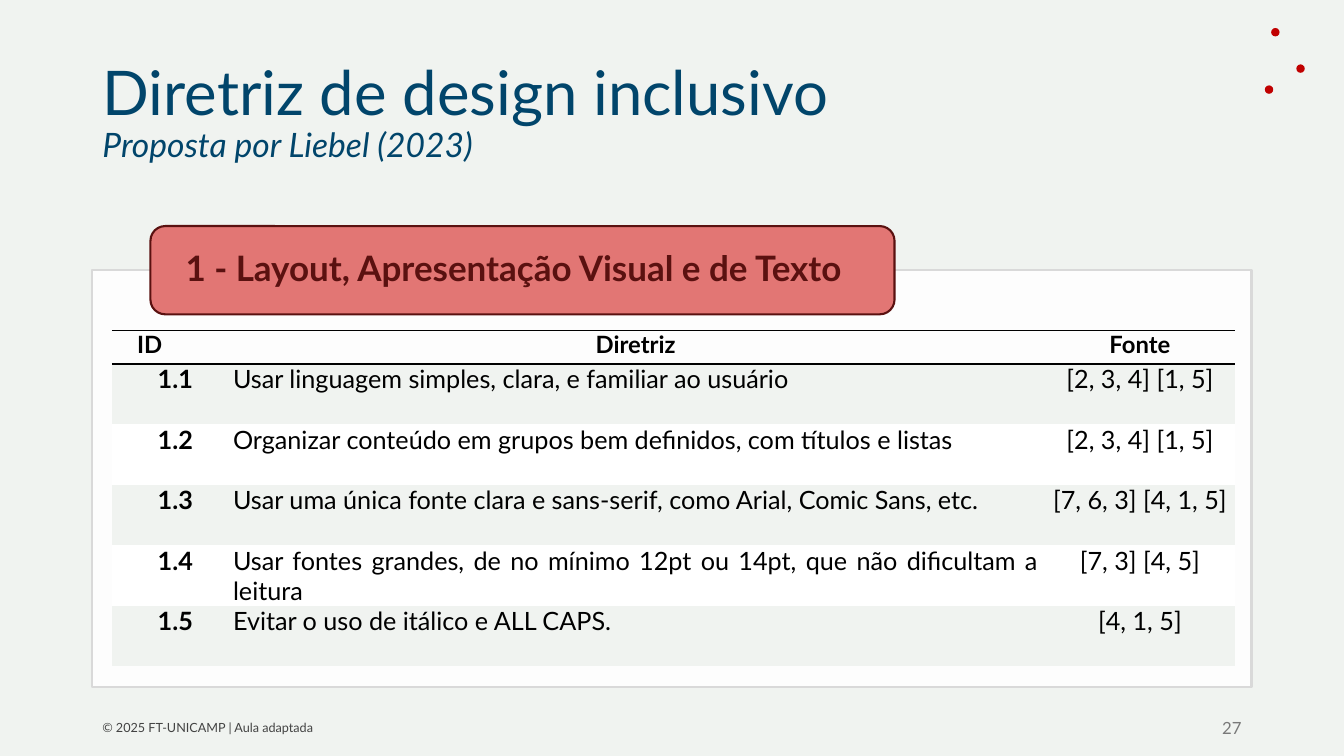
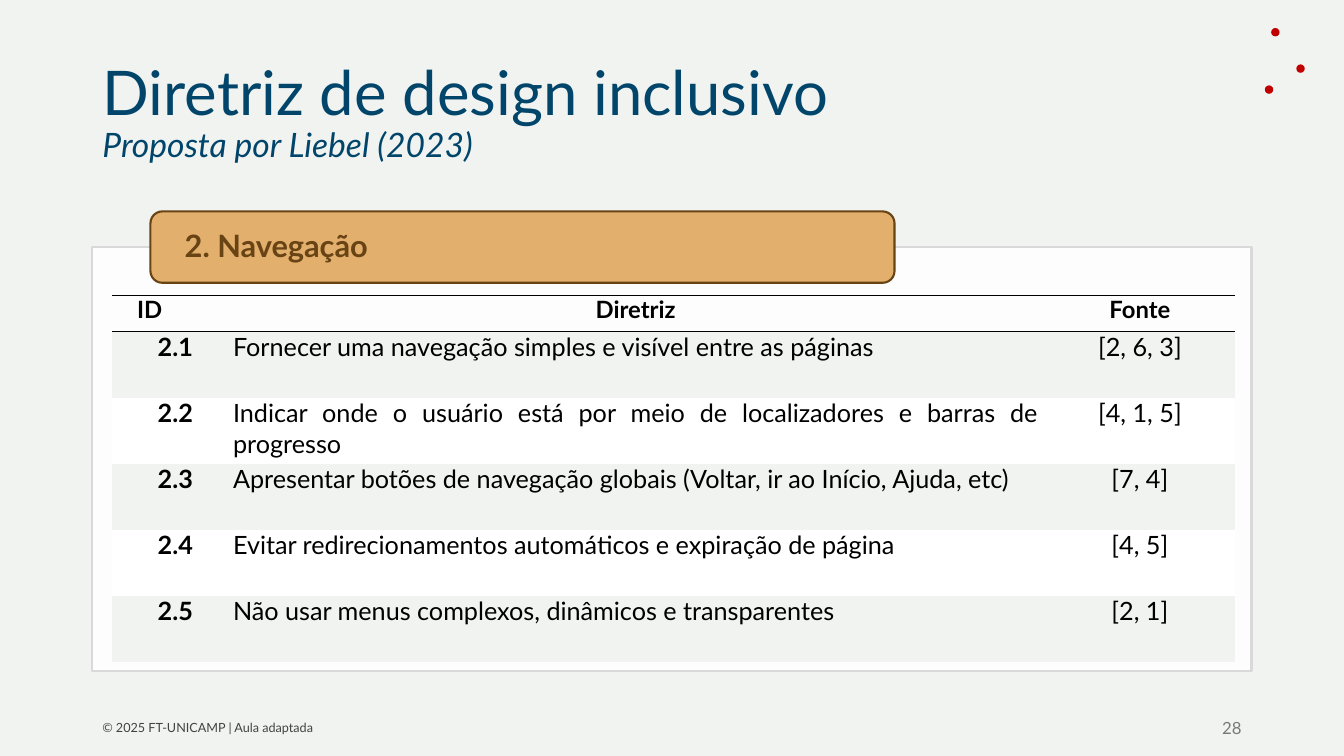
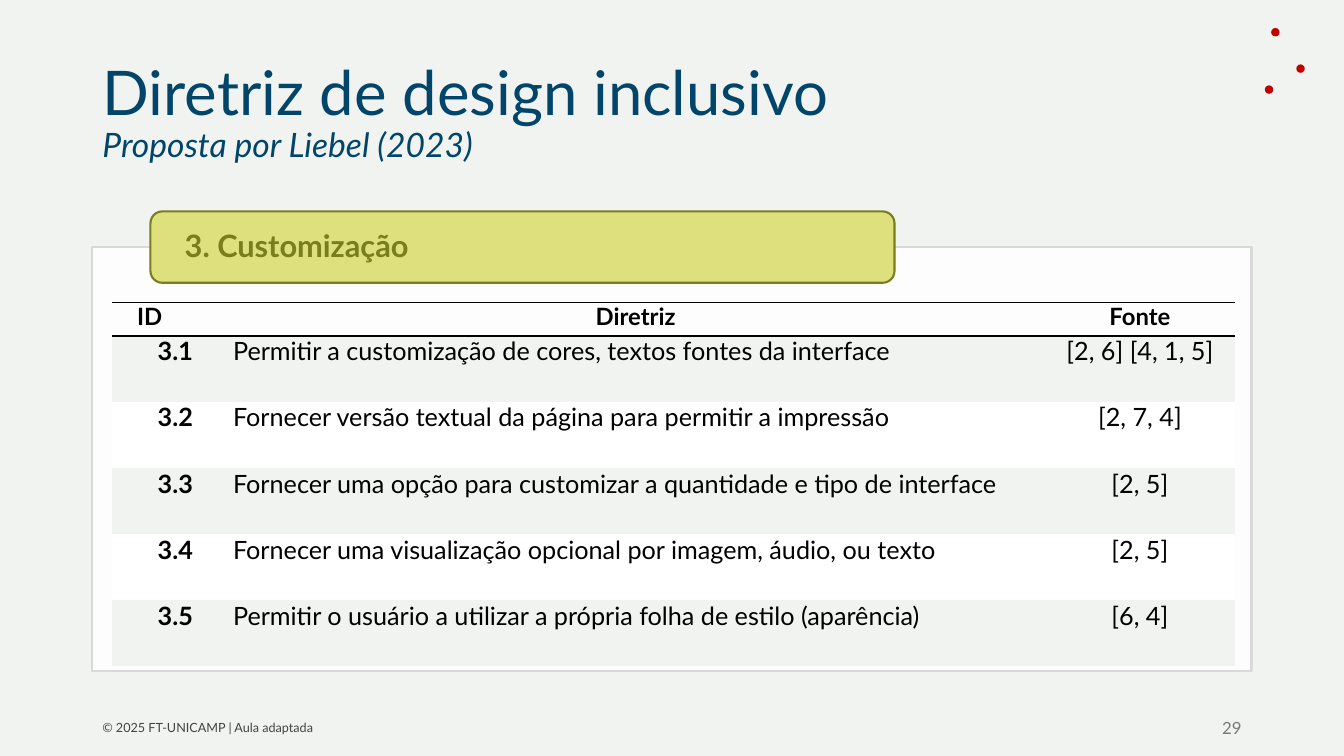
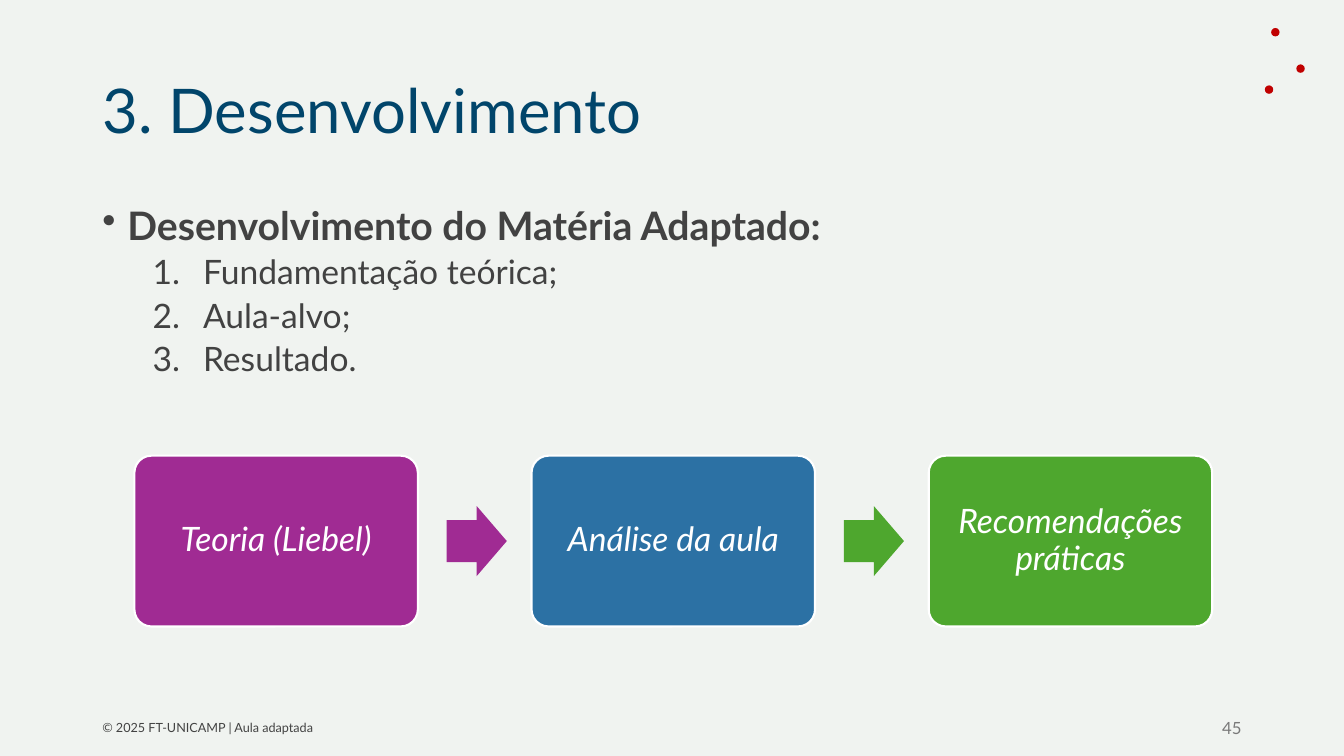
from lxml.etree import SubElement
from pptx import Presentation
from pptx.dml.color import RGBColor
from pptx.enum.shapes import MSO_SHAPE as SHAPE
from pptx.enum.text import MSO_ANCHOR as ANCHOR, MSO_AUTO_SIZE as AUTO_SIZE, PP_ALIGN as ALIGN
from pptx.oxml.ns import qn
from pptx.util import Pt

COLORS = {
    "background": "F0F3F0", "title": "01456B", "body": "424242", "number": "797979",
    "dot": "C00000", "white": "FFFFFF", "black": "000000", "card_line": "D9D9D9",
    "red": "E27674", "dark_red": "5A1110",
    "orange": "E3AF6D", "dark_orange": "684415",
    "lime": "DDE07C", "dark_lime": "797D1D",
    "purple": "A02B93", "blue": "2C71A4", "green": "4EA72E",
}
FONT = "Lato"
NO_GRID_STYLE = "{2D5ABB26-0587-4C30-8999-92F81FD0307C}"
LEFT, WIDTH = 66, 828


def write(paragraph, text, size, color, bold=False, italic=False, align=ALIGN.LEFT,
          spacing=None, before=None, margin=0, indent=0, bullet=None):
    """Add a formatted run; bullet is an (element, attribute, value) triple."""
    paragraph.alignment = align
    if spacing:
        paragraph.line_spacing = spacing
    if before:
        paragraph.space_before = Pt(before)
    properties = paragraph._p.get_or_add_pPr()
    properties.set("marL", str(Pt(margin)))
    properties.set("indent", str(Pt(indent)))
    if bullet:
        element, attribute, value = bullet
        SubElement(properties, qn(element)).set(attribute, value)
    run = paragraph.add_run()
    run.text = text
    run.font.name = FONT
    run.font.size = Pt(size)
    run.font.bold = bold
    run.font.italic = italic
    run.font.color.rgb = RGBColor.from_string(COLORS[color])


def draw(slide, kind, left, top, width, height, fill, line=None):
    shape = slide.shapes.add_shape(kind, Pt(left), Pt(top), Pt(width), Pt(height))
    shape.shadow.inherit = False
    shape.fill.solid()
    shape.fill.fore_color.rgb = RGBColor.from_string(COLORS[fill])
    if line:
        shape.line.color.rgb = RGBColor.from_string(COLORS[line])
        shape.line.width = Pt(1.5)
    else:
        shape.line.fill.background()
    return shape


# Content
GUIDE_TITLE = ("Diretriz de design inclusivo", "Proposta por Liebel (2023)")
pages = [(27, *GUIDE_TITLE), (28, *GUIDE_TITLE), (29, *GUIDE_TITLE),
         (45, "3. Desenvolvimento", None)]

sections = [
    dict(heading="1 - Layout, Apresentação Visual e de Texto", heading_size=25,
         fill="red", dark="dark_red", card_top=193, card_height=298, tab_height=63,
         table_top=236, header_height=24, row_height=43.2, guidelines=[
             ("Usar linguagem simples, clara, e familiar ao usuário", "[2, 3, 4] [1, 5]"),
             ("Organizar conteúdo em grupos bem definidos, com títulos e listas",
              "[2, 3, 4] [1, 5]"),
             ("Usar uma única fonte clara e sans-serif, como Arial, Comic Sans, etc.",
              "[7, 6, 3] [4, 1, 5]"),
             ("Usar fontes grandes, de no mínimo 12pt ou 14pt, que não dificultam a leitura",
              "[7, 3] [4, 5]"),
             ("Evitar o uso de itálico e ALL CAPS.", "[4, 1, 5]")]),
    dict(heading="2. Navegação", heading_size=22,
         fill="orange", dark="dark_orange", card_top=176.5, card_height=302.5, tab_height=51,
         table_top=211, header_height=26, row_height=47.2, guidelines=[
             ("Fornecer uma navegação simples e visível entre as páginas", "[2, 6, 3]"),
             ("Indicar onde o usuário está por meio de localizadores e barras de progresso",
              "[4, 1, 5]"),
             ("Apresentar botões de navegação globais (Voltar, ir ao Início, Ajuda, etc)",
              "[7, 4]"),
             ("Evitar redirecionamentos automáticos e expiração de página", "[4, 5]"),
             ("Não usar menus complexos, dinâmicos e transparentes", "[2, 1]")]),
    dict(heading="3. Customização", heading_size=22,
         fill="lime", dark="dark_lime", card_top=176.5, card_height=302.5, tab_height=51,
         table_top=216, header_height=24, row_height=47.2, guidelines=[
             ("Permitir a customização de cores, textos fontes da interface",
              "[2, 6] [4, 1, 5]"),
             ("Fornecer versão textual da página para permitir a impressão", "[2, 7, 4]"),
             ("Fornecer uma opção para customizar a quantidade e tipo de interface", "[2, 5]"),
             ("Fornecer uma visualização opcional por imagem, áudio, ou texto", "[2, 5]"),
             ("Permitir o usuário a utilizar a própria folha de estilo (aparência)",
              "[6, 4]")]),
]

# Shared background and title position
prs = Presentation()
prs.slide_width, prs.slide_height = Pt(960), Pt(540)
background = prs.slide_master.background.fill
background.solid()
background.fore_color.rgb = RGBColor.from_string(COLORS["background"])
layout = prs.slide_layouts[5]
title_area = layout.placeholders[0]
title_area.left, title_area.top = Pt(LEFT), Pt(29)
title_area.width, title_area.height = Pt(782), Pt(104)

# Titles, corner dots and footers
slides = []
for number, heading, subtitle in pages:
    slide = prs.slides.add_slide(layout)
    slides.append(slide)
    for left, top in [(903.5, 61), (926, 46), (908, 20)]:
        draw(slide, SHAPE.OVAL, left, top, 6, 6, "dot")

    title = slide.shapes.title.text_frame
    title.auto_size = AUTO_SIZE.NONE
    title.vertical_anchor = ANCHOR.MIDDLE
    line = title.paragraphs[0]
    write(line, heading, 44, "title", spacing=0.9)
    if subtitle:
        line.add_line_break()
        write(line, subtitle, 24, "title", italic=True, spacing=0.9)

    for text, left, top, width, height, size, color, align in [
            ("© 2025 FT-UNICAMP | Aula adaptada", LEFT, 508, 216, 23, 9, "body", ALIGN.LEFT),
            (str(number), 708, 510.5, 186, 19, 12, "number", ALIGN.RIGHT)]:
        footer = slide.shapes.add_textbox(Pt(left), Pt(top), Pt(width), Pt(height)).text_frame
        footer.word_wrap = True
        footer.vertical_anchor = ANCHOR.MIDDLE
        write(footer.paragraphs[0], text, size, color, align=align)

# Guideline slides
for number, (slide, section) in enumerate(zip(slides, sections), start=1):
    # Card with its heading tab centred on the top edge
    card = draw(slide, SHAPE.RECTANGLE, LEFT, section["card_top"], WIDTH,
                section["card_height"], "white", "card_line")
    card_color = card.fill._xPr.find(qn("a:solidFill"))[0]
    SubElement(card_color, qn("a:alpha")).set("val", "90000")
    tab = draw(slide, SHAPE.ROUNDED_RECTANGLE, 107.5,
               section["card_top"] - section["tab_height"] / 2, 531.5,
               section["tab_height"], section["fill"], section["dark"])
    tab_text = tab.text_frame
    tab_text.word_wrap = True
    tab_text.vertical_anchor = ANCHOR.MIDDLE
    tab_text.margin_left = tab_text.margin_right = Pt(22)
    tab_text.margin_top = tab_text.margin_bottom = 0
    write(tab_text.paragraphs[0], section["heading"], section["heading_size"],
          section["dark"], bold=True, spacing=0.9)

    # Table
    rows = [("ID", "Diretriz", "Fonte")]
    rows += [(f"{number}.{i}", *guideline)
             for i, guideline in enumerate(section["guidelines"], start=1)]
    heights = [section["header_height"]] + [section["row_height"]] * (len(rows) - 1)
    table = slide.shapes.add_table(len(rows), 3, Pt(80), Pt(section["table_top"]),
                                   Pt(802), Pt(sum(heights))).table
    table.horz_banding = False
    table._tbl.tblPr.find(qn("a:tableStyleId")).text = NO_GRID_STYLE
    for column, width in zip(table.columns, (81.5, 585, 135.5)):
        column.width = Pt(width)
    for r, (row, height) in enumerate(zip(rows, heights)):
        table.rows[r].height = Pt(height)
        for c, text in enumerate(row):
            cell = table.cell(r, c)
            cell.margin_left = cell.margin_right = Pt(5)
            cell.margin_top = cell.margin_bottom = 0
            if r == 0:
                for side in ("a:lnT", "a:lnB"):
                    border = SubElement(cell._tc.get_or_add_tcPr(), qn(side), w=str(Pt(1)))
                    border_fill = SubElement(border, qn("a:solidFill"))
                    SubElement(border_fill, qn("a:srgbClr"), val=COLORS["black"])
                cell.fill.background()
                align = ALIGN.CENTER if c else ALIGN.LEFT
                margin = 0 if c else 13
            else:
                cell.fill.solid()
                band = "background" if r % 2 else "white"
                cell.fill.fore_color.rgb = RGBColor.from_string(COLORS[band])
                align = ALIGN.JUSTIFY if c == 1 else ALIGN.CENTER
                margin = 0 if c else 9
            write(cell.text_frame.paragraphs[0], text, 18 if r else 17, "black",
                  bold=r == 0 or c == 0, align=align, margin=margin)

# Development slide: numbered topics
development = slides[-1]
topics = development.shapes.add_textbox(Pt(LEFT), Pt(144), Pt(WIDTH), Pt(150)).text_frame
topics.word_wrap = True
write(topics.paragraphs[0], "Desenvolvimento do Matéria Adaptado:", 28, "body", bold=True,
      spacing=0.9, margin=18, indent=-18, bullet=("a:buChar", "char", "•"))
for topic in ("Fundamentação teórica;", "Aula-alvo;", "Resultado."):
    write(topics.add_paragraph(), topic, 24, "body", spacing=0.9, before=5, margin=72,
          indent=-36, bullet=("a:buAutoNum", "type", "arabicPeriod"))

# Development slide: process steps, each followed by an arrow except the last
STEP_LEFT, STEP_PITCH, STEP_MIDDLE = 96, 283.7, 386.5
steps = [("Teoria (Liebel)", "purple", "purple"), ("Análise da aula", "blue", "green"),
         ("Recomendações práticas", "green", None)]
for i, (label, color, arrow_color) in enumerate(steps):
    left = STEP_LEFT + i * STEP_PITCH
    step = draw(development, SHAPE.ROUNDED_RECTANGLE, left, STEP_MIDDLE - 61, 202.5, 122,
                color, "white")
    step.adjustments[0] = 0.1
    step_text = step.text_frame
    step_text.word_wrap = True
    step_text.vertical_anchor = ANCHOR.MIDDLE
    write(step_text.paragraphs[0], label, 24, "white", italic=True, align=ALIGN.CENTER,
          spacing=0.9)
    if arrow_color:
        arrow = draw(development, SHAPE.RIGHT_ARROW, left + 223, STEP_MIDDLE - 25, 43, 50,
                     arrow_color)
        arrow.adjustments[0] = 0.6
        arrow.adjustments[1] = 0.5

prs.save("out.pptx")
